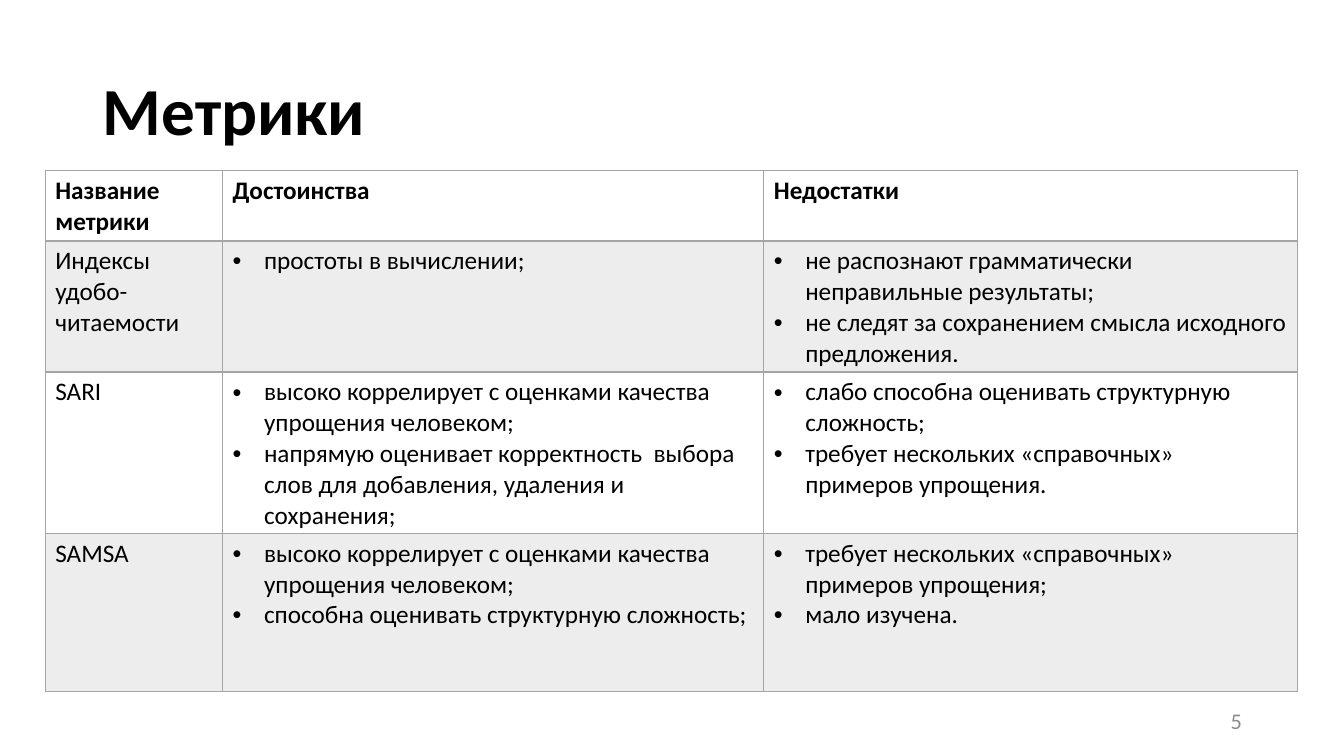
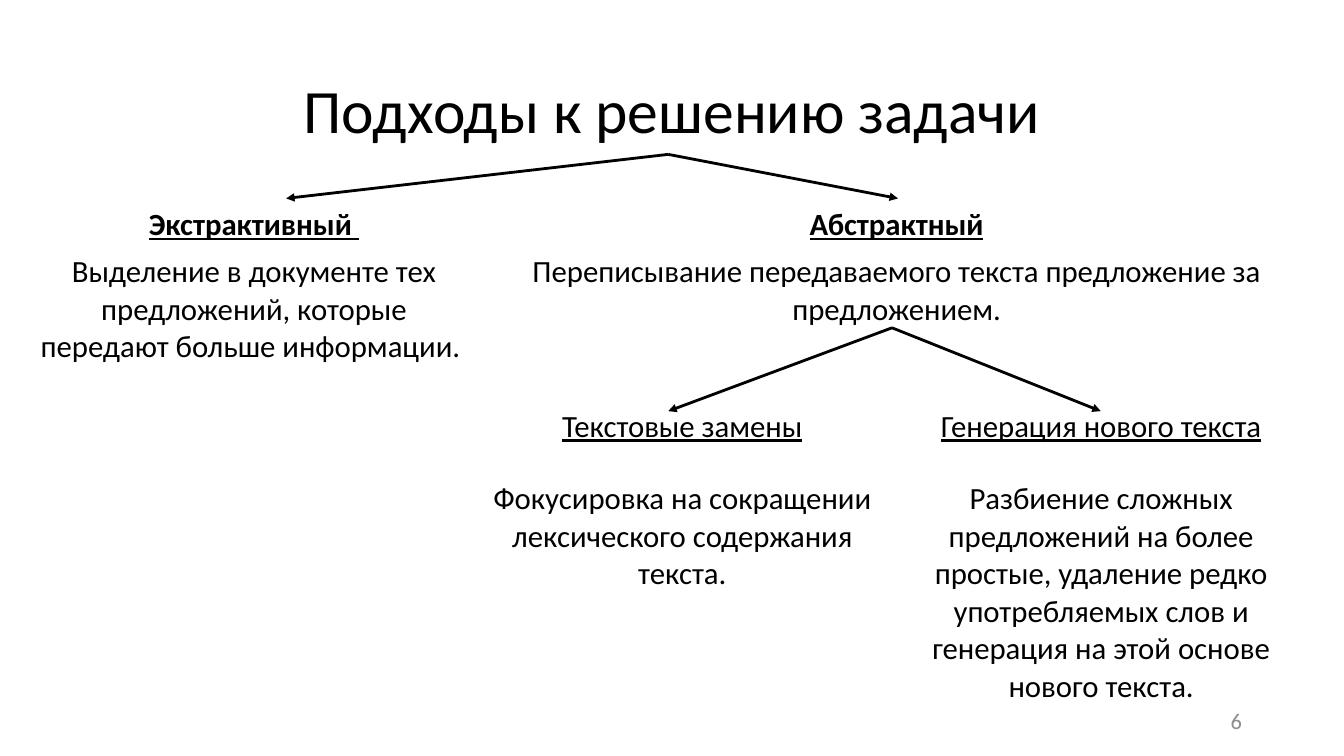
from lxml import etree
from pptx import Presentation
from pptx.dml.color import RGBColor
from pptx.enum.shapes import MSO_CONNECTOR
from pptx.enum.text import MSO_ANCHOR, PP_ALIGN
from pptx.oxml.ns import qn
from pptx.util import Cm, Pt

LEFT, MID, RIGHT = PP_ALIGN.LEFT, PP_ALIGN.CENTER, PP_ALIGN.RIGHT
CENTRE = MSO_ANCHOR.MIDDLE
STRAIGHT = MSO_CONNECTOR.STRAIGHT

# Shared look
FONT = "Calibri"
BLACK, GREY, RULE, BAND = "000000", "8C8C8C", "A5A5A5", "EDEDED"
TITLE_BOX = (2.34, 1.02, 29.21, 3.68)
PAGE_BOX = (23.93, 17.65, 7.62, 1.02)
INDENT = 0.79


def paint(target, colour):
    target.rgb = RGBColor.from_string(colour)


def write(frame, lines, size=18, colour=BLACK, bold=False, under=False,
          align=LEFT, spacing=None, bullet=False):
    """Put one paragraph per line into a text frame."""
    for i, line in enumerate(lines):
        para = frame.paragraphs[0] if i == 0 else frame.add_paragraph()
        para.alignment = align
        if spacing:
            para.line_spacing = spacing
        if bullet:
            props = para._p.get_or_add_pPr()
            props.set("marL", str(Cm(INDENT)))
            props.set("indent", str(-Cm(INDENT)))
            etree.SubElement(props, qn("a:buFont")).set("typeface", "Arial")
            etree.SubElement(props, qn("a:buChar")).set("char", "•")
        run = para.add_run()
        run.text = line
        font = run.font
        font.name, font.size = FONT, Pt(size)
        font.bold, font.underline = bold, under
        paint(font.color, colour)


def label(slide, box, text, **fmt):
    frame = slide.shapes.add_textbox(*map(Cm, box)).text_frame
    frame.word_wrap = True
    frame.vertical_anchor = CENTRE
    write(frame, [text], **fmt)


def start(deck, title, page, **fmt):
    """Add a slide with its title and page number."""
    slide = deck.slides.add_slide(deck.slide_layouts[6])
    label(slide, TITLE_BOX, title, spacing=0.9, **fmt)
    label(slide, PAGE_BOX, page, size=16, colour=GREY, align=RIGHT)
    return slide


def grid(slide, left, top, cols, rows):
    """Add a plain table without style bands or fills."""
    table = slide.shapes.add_table(
        len(rows), len(cols), Cm(left), Cm(top),
        Cm(sum(cols)), Cm(sum(rows))).table
    table.first_row = table.horz_banding = False
    for col, width in zip(table.columns, cols):
        col.width = Cm(width)
    for row, height in zip(table.rows, rows):
        row.height = Cm(height)
    for cell in table.iter_cells():
        cell.fill.background()
    return table


def edge(cell, base=1):
    """Draw the four borders of a cell; base is the lower one's width."""
    props = cell._tc.get_or_add_tcPr()
    for i, (side, width) in enumerate(zip("LRTB", (1, 1, 1, base))):
        line = etree.Element(qn("a:ln" + side), w=str(Pt(width)))
        fill = etree.SubElement(line, qn("a:solidFill"))
        etree.SubElement(fill, qn("a:srgbClr"), val=RULE)
        props.insert(i, line)


def metrics(slide, left, top, data):
    """Table of metrics: a name, then bulleted pros and cons."""
    table = grid(slide, left, top, (4.47, 13.64, 13.44),
                 (1.73, 3.23, 3.99, 3.99))
    for r, row in enumerate(data):
        for c, lines in enumerate(row):
            cell = table.cell(r, c)
            write(cell.text_frame, lines, bold=r == 0, bullet=r > 0 and c > 0)
            if r % 2:
                cell.fill.solid()
                paint(cell.fill.fore_color, BAND)
            edge(cell, 2 if r == 0 else 1)


def tree(slide, left, top, data):
    """Borderless table that holds the texts of the tree."""
    table = grid(slide, left, top, (11.28, 10.31, 10.8),
                 (1.14, 3.89, 1.83, 5.72))
    for r in (0, 1):
        table.cell(r, 1).merge(table.cell(r, 2))
    for r, c, text in data:
        write(table.cell(r, c).text_frame, [text], size=22, align=MID,
              bold=r == 0, under=r in (0, 2))


def fork(slide, x, top, base, ends):
    """Arrows from one point down to each end."""
    for end in ends:
        line = slide.shapes.add_connector(
            STRAIGHT, Cm(x), Cm(top), Cm(end), Cm(base))
        line.line.width = Pt(2)
        paint(line.line.color, BLACK)
        etree.SubElement(line.line._get_or_add_ln(), qn("a:tailEnd"),
                         type="triangle")
        etree.SubElement(line._element.spPr, qn("a:effectLst"))


METRICS = [
    (["Название метрики"], ["Достоинства"], ["Недостатки"]),
    (["Индексы удобо-читаемости"],
     ["простоты в вычислении;"],
     ["не распознают грамматически неправильные результаты;",
      "не следят за сохранением смысла исходного предложения."]),
    (["SARI"],
     ["высоко коррелирует с оценками качества упрощения человеком;",
      "напрямую оценивает корректность  выбора слов для добавления, "
      "удаления и сохранения;"],
     ["слабо способна оценивать структурную сложность;",
      "требует нескольких «справочных» примеров упрощения."]),
    (["SAMSA"],
     ["высоко коррелирует с оценками качества упрощения человеком;",
      "способна оценивать структурную сложность;"],
     ["требует нескольких «справочных» примеров упрощения;",
      "мало изучена."]),
]

# Row, column, text
TREE = [
    (0, 0, "Экстрактивный "),
    (0, 1, "Абстрактный"),
    (1, 0, "Выделение в документе тех предложений, которые передают "
           "больше информации. "),
    (1, 1, "Переписывание передаваемого текста предложение за "
           "предложением."),
    (2, 1, "Текстовые замены"),
    (2, 2, "Генерация нового текста"),
    (3, 1, "Фокусировка на сокращении лексического содержания текста."),
    (3, 2, "Разбиение сложных предложений на более простые, удаление "
           "редко употребляемых слов и генерация на этой основе нового "
           "текста."),
]


def main():
    deck = Presentation()
    deck.slide_width, deck.slide_height = Cm(33.87), Cm(19.05)

    # Metrics
    slide = start(deck, "Метрики", "5", size=48, bold=True)
    metrics(slide, 1.14, 4.29, METRICS)

    # Approaches
    slide = start(deck, "Подходы к решению задачи", "6", size=44, align=MID)
    tree(slide, 0.76, 5.08, TREE)
    fork(slide, 16.84, 3.89, 5, (7.21, 22.63))
    fork(slide, 22.48, 8.26, 10.36, (16.84, 27.74))

    deck.save("out.pptx")


if __name__ == "__main__":
    main()
